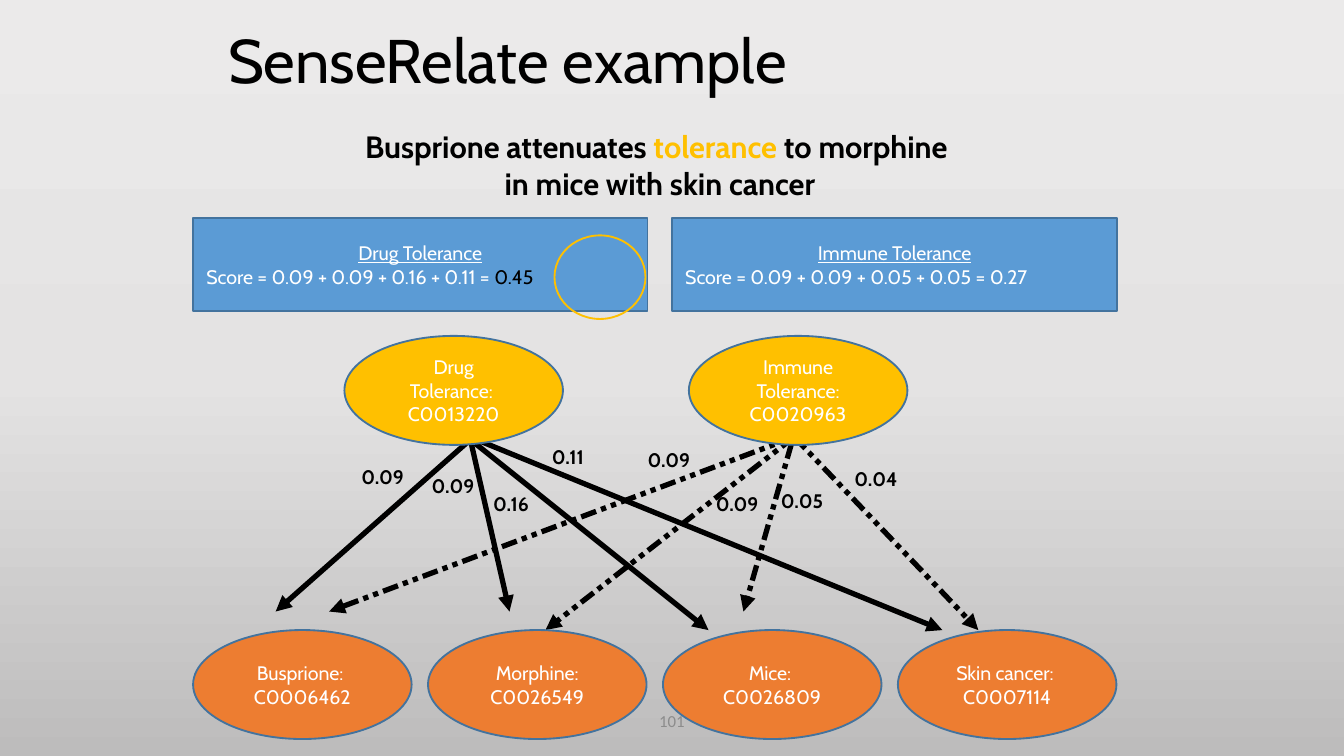
from copy import deepcopy

from lxml import etree
from pptx import Presentation
from pptx.dml.color import RGBColor
from pptx.enum.shapes import MSO_CONNECTOR, MSO_SHAPE
from pptx.enum.text import MSO_ANCHOR, PP_ALIGN
from pptx.oxml.ns import qn
from pptx.util import Cm, Pt

OVAL, RECTANGLE = MSO_SHAPE.OVAL, MSO_SHAPE.RECTANGLE
STRAIGHT = MSO_CONNECTOR.STRAIGHT
LEFT, CENTER = PP_ALIGN.LEFT, PP_ALIGN.CENTER
TOP, MIDDLE = MSO_ANCHOR.TOP, MSO_ANCHOR.MIDDLE
SOLID, DASH_DOT_DOT = "solid", "sysDashDotDot"

BLACK = RGBColor(0x00, 0x00, 0x00)
WHITE = RGBColor(0xFF, 0xFF, 0xFF)
GRAY = RGBColor(0x8C, 0x8C, 0x8C)
GOLD = RGBColor(0xFF, 0xC0, 0x00)
ORANGE = RGBColor(0xED, 0x7D, 0x31)
BLUE = RGBColor(0x5B, 0x9B, 0xD5)
OUTLINE = RGBColor(0x43, 0x73, 0x9E)
BACKGROUND = [(0, RGBColor(0xEB, 0xEA, 0xEA)),
              (0.5, RGBColor(0xE4, 0xE3, 0xE3)),
              (1, RGBColor(0xBD, 0xBC, 0xBC))]

OVAL_SIZE = (4.13, 2.06)
LABEL_WIDTH = 1.3

# Arrows: start and end; labels: text, left, top, height.
# All are in cm from the top left corner of the sense oval.
DRUG_ARROWS = [((2.38, 1.96), (3.12, 5.21)), ((2.38, 1.96), (6.88, 5.56)),
               ((2.3, 1.88), (11.3, 5.56)), ((2.38, 1.96), (-1.3, 5.21))]
DRUG_LABELS = [("0.09", 0.14, 2.31, 1.02), ("0.09", 1.47, 2.47, 1.02),
               ("0.16", 2.63, 2.82, 0.74), ("0.11", 3.74, 1.93, 1.02)]
IMMUNE_ARROWS = [((1.99, 1.91), (-2.71, 5.56)), ((1.94, 2.03), (1.03, 5.21)),
                 ((1.99, 1.91), (5.47, 5.56)), ((1.99, 1.91), (-6.8, 5.21))]
IMMUNE_LABELS = [("0.09", -0.96, 1.99, 1.02), ("0.09", 0.33, 2.82, 0.74),
                 ("0.05", 1.56, 2.77, 0.66), ("0.04", 2.95, 2.35, 0.66)]
CONTEXT = [("Busprione: ", "C0006462"), ("Morphine:", "C0026549"),
           ("Mice: ", "C0026809"), ("Skin cancer: ", "C0007114")]


def format_span(span, size, color, bold=False, font="Cabin"):
    span.font.name = font
    span.font.size = Pt(size)
    span.font.bold = bold
    span.font.color.rgb = color


def write(shape, lines, size, color, align=CENTER, **style):
    """Put one paragraph per line into the shape."""
    frame = shape.text_frame
    frame.text = "\n".join(lines)
    for para in frame.paragraphs:
        para.alignment = align
        for span in para.runs:
            format_span(span, size, color, **style)


def add_span(para, text, *style, **more):
    span = para.add_run()
    span.text = text
    format_span(span, *style, **more)


def add_text_box(page, box, wrap=True, anchor=TOP, inset_top=0.13):
    shape = page.shapes.add_textbox(*map(Cm, box))
    frame = shape.text_frame
    frame.word_wrap = wrap
    frame.vertical_anchor = anchor
    frame.margin_left = frame.margin_right = Cm(0.18)
    frame.margin_top, frame.margin_bottom = Cm(inset_top), Cm(0.08)
    return shape


def add_figure(page, kind, box, fill, line=OUTLINE):
    shape = page.shapes.add_shape(kind, *map(Cm, box))
    shape.shadow.inherit = False
    if fill is None:
        shape.fill.background()
    else:
        shape.fill.solid()
        shape.fill.fore_color.rgb = fill
    shape.line.color.rgb = line
    shape.line.width = Pt(1)
    shape.text_frame.vertical_anchor = MIDDLE
    return shape


def add_arrow(page, start, end, dash):
    arrow = page.shapes.add_connector(STRAIGHT, *map(Cm, start + end))
    arrow.line.color.rgb = BLACK
    arrow.line.width = Pt(2.83)
    properties = arrow._element.spPr
    outline = properties.find(qn("a:ln"))
    etree.SubElement(outline, qn("a:prstDash"), val=dash)
    etree.SubElement(outline, qn("a:tailEnd"), type="triangle")
    etree.SubElement(properties, qn("a:effectLst"))


def paint_background(page):
    fill = page.background.fill
    fill.gradient()
    fill.gradient_angle = 270
    # A third stop has to be added to the default two
    stop_list = page.element.find(".//" + qn("a:gsLst"))
    stop_list.insert(1, deepcopy(stop_list[0]))
    for stop, (position, color) in zip(fill.gradient_stops, BACKGROUND):
        stop.position = position
        stop.color.rgb = color


def add_title(page, box):
    title = add_text_box(page, box, anchor=MIDDLE, inset_top=0.08)
    write(title, ["SenseRelate example"], 33, BLACK, LEFT)
    title.text_frame.paragraphs[0].line_spacing = 0.9


def add_sentence(page, box):
    frame = add_text_box(page, box, wrap=False).text_frame
    first, second = frame.paragraphs[0], frame.add_paragraph()
    first.alignment = second.alignment = CENTER
    for para, text, color in [(first, "Busprione attenuates ", BLACK),
                              (first, "tolerance", GOLD),
                              (first, " to morphine ", BLACK),
                              (second, "in mice with skin cancer", BLACK)]:
        add_span(para, text, 16.5, color, bold=True)


def add_sense(page, left, top, lines, arrows, labels, dash):
    """A sense oval with its scored arrows to the context words."""
    for (x1, y1), (x2, y2) in arrows:
        add_arrow(page, (left + x1, top + y1), (left + x2, top + y2), dash)
    for text, x, y, height in labels:
        box = (left + x, top + y, LABEL_WIDTH, height)
        label = add_text_box(page, box, wrap=False)
        write(label, [text], 10.5, BLACK, LEFT, bold=True)
    oval = add_figure(page, OVAL, (left, top, *OVAL_SIZE), GOLD)
    write(oval, lines, 10.5, WHITE)


def add_context_row(page, left, top, pitch):
    for index, lines in enumerate(CONTEXT):
        box = (left + index * pitch, top, *OVAL_SIZE)
        write(add_figure(page, OVAL, box, ORANGE), lines, 10.5, WHITE)


def add_score_box(page, box, heading, total, result, result_color):
    frame = add_figure(page, RECTANGLE, box, BLUE).text_frame
    title, score = frame.paragraphs[0], frame.add_paragraph()
    title.alignment, score.alignment = CENTER, LEFT
    add_span(title, heading, 10.5, WHITE)
    title.runs[0].font.underline = True
    add_span(score, f"Score = {total} = ", 10.5, WHITE)
    add_span(score, result, 10.5, result_color)


def main():
    deck = Presentation()
    deck.slide_width, deck.slide_height = Cm(25.4), Cm(14.29)
    page = deck.slides.add_slide(deck.slide_layouts[6])
    paint_background(page)

    # Heading
    add_title(page, (4.13, 0.01, 17.15, 2.39))
    add_sentence(page, (6.17, 2.29, 12.6, 1.45))

    # Senses and context words
    add_sense(page, 6.51, 6.35, ["Drug", "Tolerance: ", "C0013220"],
              DRUG_ARROWS, DRUG_LABELS, SOLID)
    add_sense(page, 13.02, 6.35, ["Immune", "Tolerance:", "C0020963"],
              IMMUNE_ARROWS, IMMUNE_LABELS, DASH_DOT_DOT)
    add_context_row(page, 3.65, 11.91, 4.44)

    # Scores, with a ring beside the winner
    add_score_box(page, (3.65, 4.12, 8.59, 1.76), "Drug Tolerance",
                  "0.09 + 0.09 + 0.16 + 0.11", "0.45", BLACK)
    add_score_box(page, (12.7, 4.12, 8.42, 1.76), "Immune Tolerance",
                  "0.09 + 0.09 + 0.05 + 0.05", "0.27", WHITE)
    add_figure(page, OVAL, (10.48, 4.45, 1.72, 1.58), None, GOLD)

    # Page number
    number = add_text_box(page, (8.41, 13.22, 8.58, 0.76), anchor=MIDDLE)
    write(number, ["101"], 9, GRAY, font="Calibri")

    deck.save("out.pptx")


if __name__ == "__main__":
    main()
